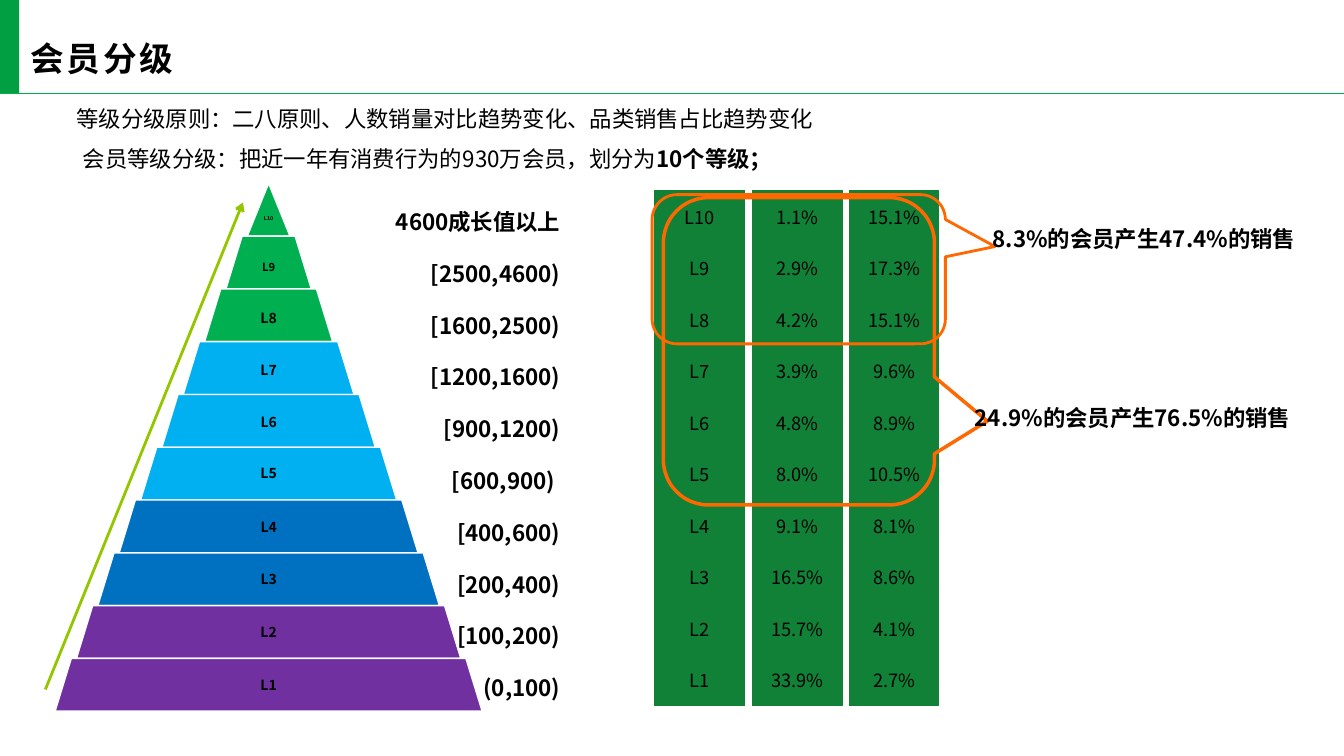
from pptx import Presentation
from pptx.util import Pt
from pptx.dml.color import RGBColor
from pptx.enum.shapes import MSO_CONNECTOR, MSO_SHAPE
from pptx.enum.text import MSO_ANCHOR, MSO_AUTO_SIZE, PP_ALIGN
from pptx.oxml.ns import qn
from lxml.etree import SubElement

FONT = "Noto Sans CJK SC"
BLACK = RGBColor(0, 0, 0)
WHITE = RGBColor(0xFF, 0xFF, 0xFF)
BAR = RGBColor(0x02, 0x9E, 0x42)
GREEN = RGBColor(0x00, 0xB0, 0x50)
SKY = RGBColor(0x00, 0xB0, 0xF0)
BLUE = RGBColor(0x00, 0x70, 0xC0)
PURPLE = RGBColor(0x70, 0x30, 0xA0)
LIME = RGBColor(0x94, 0xC6, 0x00)
CELL = RGBColor(0x10, 0x81, 0x36)
ORANGE = RGBColor(0xFF, 0x67, 0x00)

TITLE = "会员分级"
RULES = [  # left, top, runs of (text, bold)
    (49.8, 98.6, [("会员等级分级：把近一年有消费行为的930万会员，划分为", False),
                  ("10个等级；", True)]),
    (45.2, 69.8, [("等级分级原则：二八原则、人数销量对比趋势变化、品类销售占比趋势变化", False)]),
]
TIERS = [  # name, fill, label width, label height, text size
    ("L10", GREEN, 10, 25, 3.8),
    ("L9", GREEN, 24, 30, 8),
    ("L8", GREEN, 44, 33, 10),
    ("L7", SKY, 64, 34, 10),
    ("L6", SKY, 84, 34.5, 10),
    ("L5", SKY, 119, 37.5, 10),
    ("L4", BLUE, 123, 35.5, 10),
    ("L3", BLUE, 143, 36, 10),
    ("L2", PURPLE, 163, 36, 10),
    ("L1", PURPLE, 183, 36, 10),
]
RANGES = ["4600成长值以上", "[2500,4600)", "[1600,2500)", "[1200,1600)", "[900,1200)",
          "[600,900) ", "[400,600)", "[200,400)", "[100,200)", "(0,100)"]
TABLES = [  # left, values
    (537.3, ["1.1%", "2.9%", "4.2%", "3.9%", "4.8%",
             "8.0%", "9.1%", "16.5%", "15.7%", "33.9%"]),
    (467.3, [tier[0] for tier in TIERS]),
    (606.5, ["15.1%", "17.3%", "15.1%", "9.6%", "8.9%",
             "10.5%", "8.1%", "8.6%", "4.1%", "2.7%"]),
]
CALLS = [  # frame box, adjustments, line width, text left, text top, text
    ((465.8, 139, 209.5, 106.6), (0.669, -0.152, 0.167), 2,
     702.7, 147.6, "8.3%的会员产生47.4%的销售"),
    ((473.8, 141.1, 193.7, 219.6), (0.695, 0.227, 0.167), 2.5,
     689.8, 275.8, "24.9%的会员产生76.5%的销售"),
]

MID, TOP, STEP, GROW = 191.9, 131, 37.7, 30.5


def put(item, form):
    for key, value in form.items():
        setattr(item, key, value)


def write(para, text, size, bold=False):
    run = para.add_run()
    run.text = text
    put(run.font, {"size": Pt(size), "bold": bold, "name": FONT})
    run.font.color.rgb = BLACK
    SubElement(run.font._element, qn("a:ea")).set("typeface", FONT)
    return run


def pad(item, side, edge):
    put(item, {"margin_left": Pt(side), "margin_right": Pt(side),
               "margin_top": Pt(edge), "margin_bottom": Pt(edge)})


def add_text(shapes, box, lines, size, form, inset, fit=MSO_AUTO_SIZE.SHAPE_TO_FIT_TEXT,
             anchor=MSO_ANCHOR.TOP):
    """Add a text box; lines holds one list of (text, bold) runs per paragraph."""
    frame = shapes.add_textbox(*map(Pt, box)).text_frame
    put(frame, {"word_wrap": True, "auto_size": fit, "vertical_anchor": anchor})
    pad(frame, *inset)
    for i, runs in enumerate(lines):
        para = frame.add_paragraph() if i else frame.paragraphs[0]
        put(para, form)
        for text, bold in runs:
            write(para, text, size, bold)


def add_form(shapes, kind, box, fill=None, line=None, width=1, adjust=()):
    shape = shapes.add_shape(kind, *map(Pt, box))
    shape.shadow.inherit = False
    if fill is None:
        shape.fill.background()
    else:
        shape.fill.solid()
        shape.fill.fore_color.rgb = fill
    if line is None:
        shape.line.fill.background()
    else:
        shape.line.color.rgb = line
        shape.line.width = Pt(width)
    for i, value in enumerate(adjust):
        shape.adjustments[i] = value


def add_line(shapes, ends, color, width, arrow=False):
    line = shapes.add_connector(MSO_CONNECTOR.STRAIGHT, *map(Pt, ends))
    line.line.color.rgb = color
    line.line.width = Pt(width)
    if arrow:
        SubElement(line.line._get_or_add_ln(), qn("a:tailEnd")).set("type", "arrow")
    SubElement(line._element.spPr, qn("a:effectLst"))


def add_head(slide):
    add_form(slide.shapes, MSO_SHAPE.RECTANGLE, (0, 0, 13.7, 67), BAR)
    add_line(slide.shapes, (0, 67, 960, 67), GREEN, 1)
    title = slide.shapes.title
    put(title, {"left": Pt(13.7), "top": Pt(15.8), "width": Pt(423.4), "height": Pt(51)})
    frame = title.text_frame
    put(frame, {"vertical_anchor": MSO_ANCHOR.MIDDLE, "auto_size": MSO_AUTO_SIZE.NONE,
                "word_wrap": True})
    pad(frame, 6, 3)
    frame.margin_left = Pt(8)
    para = frame.paragraphs[0]
    para.alignment = PP_ALIGN.LEFT
    write(para, TITLE, 24, True).font._element.set("spc", "200")


def add_tiers(slide):
    shapes = slide.shapes.add_group_shape().shapes
    form = {"alignment": PP_ALIGN.CENTER, "line_spacing": 0.9}
    for i, (name, fill, wide, high, size) in enumerate(TIERS):
        base, low = GROW * (i + 1), TOP + STEP * (i + 1)
        add_form(shapes, MSO_SHAPE.TRAPEZOID, (MID - base / 2, low - STEP, base, STEP),
                 fill, WHITE, adjust=(0.307 if i else 0.5,))
        add_text(shapes, (MID - wide / 2, low - high, wide, high), [[(name, True)]], size,
                 form, (0.7, 0.7), MSO_AUTO_SIZE.NONE, MSO_ANCHOR.MIDDLE)


def add_column(slide, left, values):
    box = map(Pt, (left, 136, 64.6, 368))
    table = slide.shapes.add_table(len(values), 1, *box).table
    put(table, {"first_row": False, "horz_banding": False})
    style = table._tbl.tblPr.find(qn("a:tableStyleId"))
    style.text = "{2D5ABB26-0587-4C30-8999-92F81FD0307C}"
    for cell, value in zip(table.iter_cells(), values):
        cell.fill.solid()
        cell.fill.fore_color.rgb = CELL
        cell.vertical_anchor = MSO_ANCHOR.MIDDLE
        pad(cell, 0, 0)
        para = cell.text_frame.paragraphs[0]
        para.alignment = PP_ALIGN.CENTER
        write(para, value, 13)


def main():
    deck = Presentation()
    put(deck, {"slide_width": Pt(960), "slide_height": Pt(540)})
    slide = deck.slides.add_slide(deck.slide_layouts[5])
    shapes = slide.shapes
    add_head(slide)
    for left, top, runs in RULES:
        add_text(shapes, (left, top, 907, 29), [runs], 16, {}, (9.4, 5))
    add_tiers(slide)
    add_line(shapes, (32.4, 492.5, 173.5, 144.7), LIME, 2, True)
    add_text(shapes, (234.7, 127.4, 172, 380), [[(text, True)] for text in RANGES], 16,
             {"alignment": PP_ALIGN.RIGHT, "line_spacing": Pt(37)}, (6.5, 3.6))
    for left, values in TABLES:
        add_column(slide, left, values)
    for box, adjust, width, left, top, text in CALLS:
        add_form(shapes, MSO_SHAPE.ROUNDED_RECTANGULAR_CALLOUT, box, None, ORANGE, width, adjust)
        add_text(shapes, (left, top, 263.5, 36), [[(text, True)]], 16,
                 {"line_spacing": 1.5}, (6.5, 3.6))
    deck.save("out.pptx")


if __name__ == "__main__":
    main()
